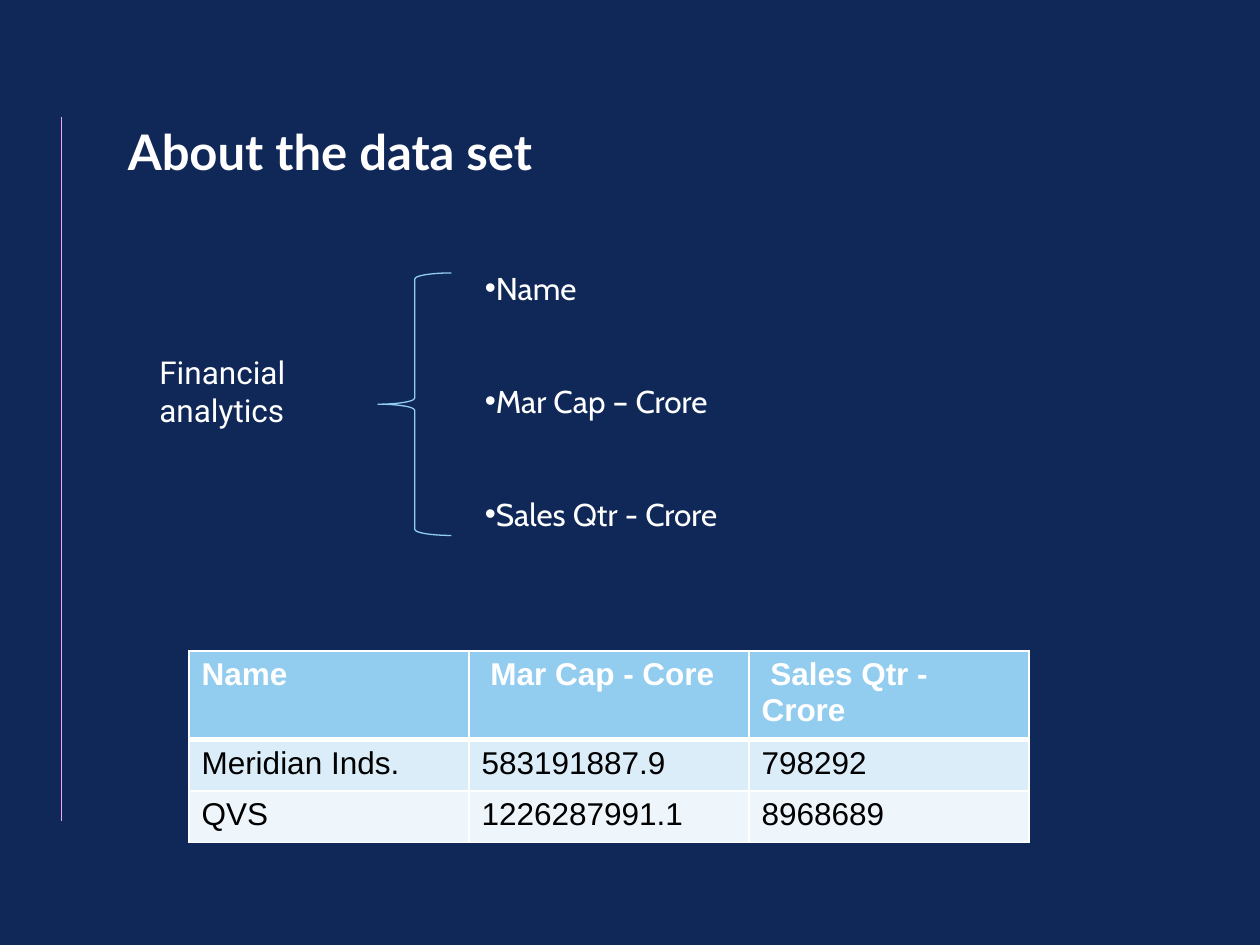
from lxml import etree
from pptx import Presentation
from pptx import util as u
from pptx.dml.color import RGBColor
from pptx.enum import shapes, text
from pptx.oxml import ns

COLUMNS, ROWS = 120, 90
NAVY, WHITE, BLACK = "0F2857", "FFFFFF", "000000"
SKY, PALE, PALEST, PINK = "92CDF0", "DBEDF9", "EEF6FC", "F6A6F4"


def color(value):
    return RGBColor.from_string(value)


def add_child(parent, tag, **attributes):
    return etree.SubElement(parent, ns.qn(tag), attributes)


def add_solid(parent, value, tag="a:solidFill"):
    add_child(add_child(parent, tag) if tag == "a:solidFill" else parent,
              "a:srgbClr", val=value)


def write(frame, lines, font="Arial", size=18, fill=WHITE, bold=False,
          gap=0, bullet=None):
    """Put one paragraph per line into a text frame; gap is points after each."""
    for index, line in enumerate(lines):
        paragraph = frame.add_paragraph() if index else frame.paragraphs[0]
        paragraph.alignment = text.PP_ALIGN.LEFT
        paragraph.space_after = u.Pt(gap)
        run = paragraph.add_run()
        run.text = line
        run.font.name, run.font.size, run.font.bold = font, u.Pt(size), bold
        run.font.color.rgb = color(fill)
        if bullet:
            properties = paragraph._p.get_or_add_pPr()
            properties.set("marL", "0")
            properties.set("indent", str(-u.Inches(0.12)))
            add_solid(add_child(properties, "a:buClr"), fill, tag="a:buClr")
            add_child(properties, "a:buFont", typeface="Arial")
            add_child(properties, "a:buChar", char=bullet)


class SlideBuilder:
    """Places elements by column and row on a 120 by 90 grid."""

    def __init__(self, presentation, background):
        self.width = presentation.slide_width
        self.height = presentation.slide_height
        self.slide = presentation.slides.add_slide(presentation.slide_layouts[6])
        self.slide.background.fill.solid()
        self.slide.background.fill.fore_color.rgb = color(background)

    def x(self, columns):
        return round(self.width * columns / COLUMNS)

    def y(self, rows):
        return round(self.height * rows / ROWS)

    def box(self, column, row, columns, rows):
        return self.x(column), self.y(row), self.x(columns), self.y(rows)

    def style_line(self, shape, fill):
        shape.line.color.rgb = color(fill)
        shape.line.width = u.Pt(0.75)

    def rule(self, column, top, bottom, fill):
        line = self.slide.shapes.add_connector(
            shapes.MSO_CONNECTOR.STRAIGHT,
            self.x(column), self.y(top), self.x(column), self.y(bottom))
        self.style_line(line, fill)
        add_child(line._element.spPr, "a:effectLst")

    def textbox(self, box, lines, **style):
        frame = self.slide.shapes.add_textbox(*self.box(*box)).text_frame
        frame.word_wrap = True
        write(frame, lines, **style)

    def brace(self, box, fill):
        shape = self.slide.shapes.add_shape(
            shapes.MSO_SHAPE.LEFT_BRACE, *self.box(*box))
        shape.shadow.inherit = False
        shape.fill.background()
        self.style_line(shape, fill)

    def table(self, box, records, heights, fills):
        table = self.slide.shapes.add_table(
            len(records), len(records[0]), *self.box(*box)).table
        for index, record in enumerate(records):
            header = index == 0
            table.rows[index].height = u.Inches(heights[index])
            for cell, value in zip(table.rows[index].cells, record):
                write(cell.text_frame, [value], bold=header,
                      fill=WHITE if header else BLACK)
                self.borders(cell, top=3 if index == 1 else 1,
                             bottom=3 if header else 1)
                cell.fill.solid()
                cell.fill.fore_color.rgb = color(fills[index])

    def borders(self, cell, top, bottom):
        properties = cell._tc.get_or_add_tcPr()
        for side, width in zip("LRTB", (1, 1, top, bottom)):
            line = add_child(properties, f"a:ln{side}", w=str(u.Pt(width)))
            add_solid(line, WHITE)


def main():
    presentation = Presentation()
    presentation.slide_width = u.Inches(10)
    presentation.slide_height = u.Inches(7.5)
    builder = SlideBuilder(presentation, NAVY)

    builder.rule(5.85, 11.15, 78.2, PINK)
    builder.textbox((11, 11, 47, 6.8), ["About the data set"],
                    font="Lato", size=28, bold=True)
    builder.textbox((14, 33, 28.5, 8.5), ["Financial", "analytics"],
                    font="Roboto")
    builder.textbox((45, 25, 60, 26.6),
                    ["Name", "Mar Cap – Crore", "Sales Qtr - Crore"],
                    font="Cabin", gap=43, bullet="•")
    builder.brace((36, 26, 7, 25), SKY)
    builder.table((18, 62, 80, 18.2),
                  [["Name", " Mar Cap - Core", " Sales Qtr - Crore"],
                   ["Meridian Inds.", "583191887.9", "798292"],
                   ["QVS", "1226287991.1", "8968689"]],
                  heights=(0.7, 0.41, 0.41), fills=(SKY, PALE, PALEST))

    presentation.save("out.pptx")


if __name__ == "__main__":
    main()
